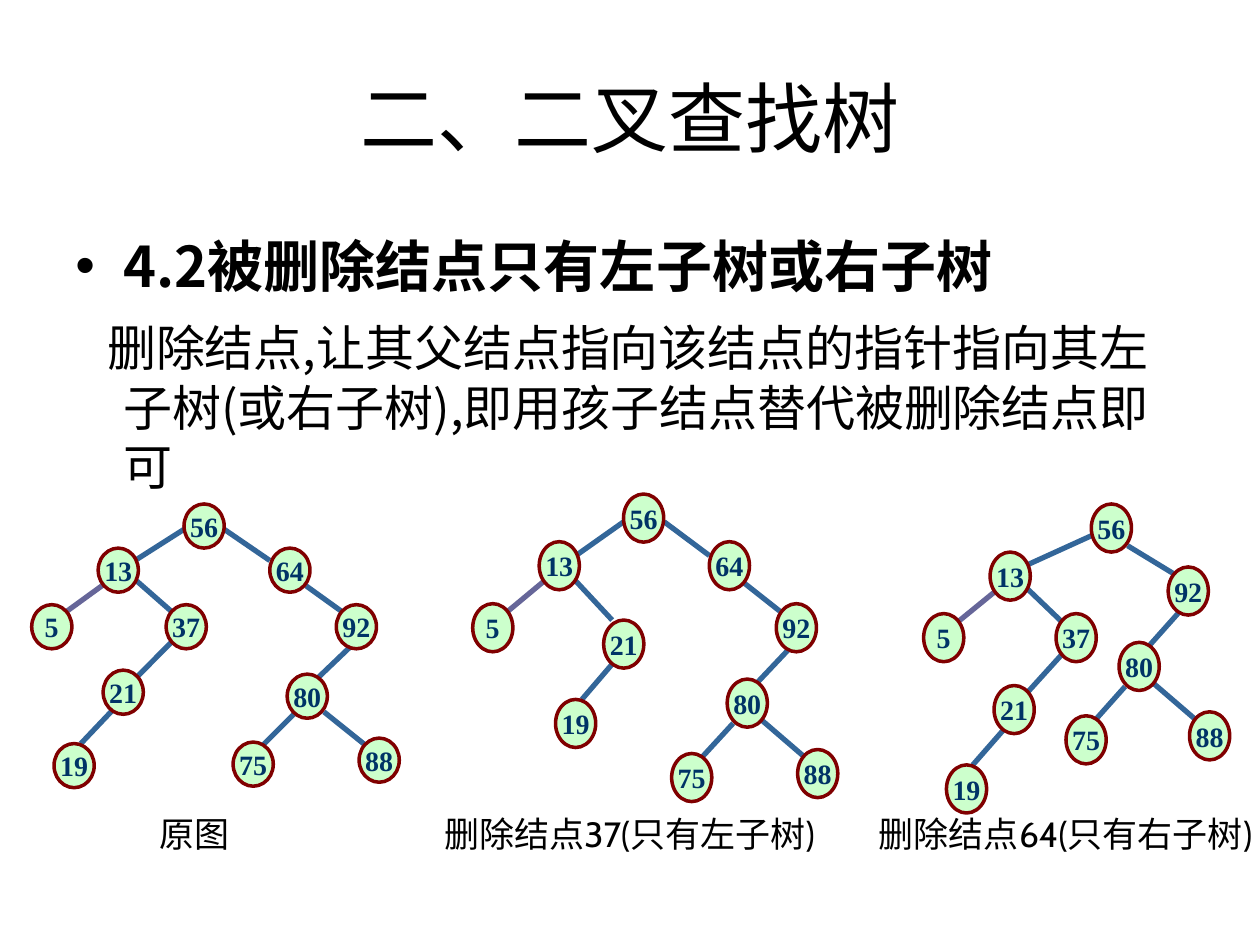
from lxml import etree
from pptx import Presentation
from pptx.dml.color import RGBColor
from pptx.enum import shapes, text
from pptx.oxml import ns
from pptx.util import Cm, Pt

BLACK = RGBColor(0x00, 0x00, 0x00)
NAVY = RGBColor(0x00, 0x33, 0x66)
BLUE = RGBColor(0x33, 0x66, 0x99)
PURPLE = RGBColor(0x66, 0x66, 0x99)
GREEN = RGBColor(0xCC, 0xFF, 0xCC)
MAROON = RGBColor(0x80, 0x00, 0x00)
CJK = "Noto Sans CJK SC"
NODE_WIDTH = 0.81


def write(para, words, size, font=CJK, asian=CJK, color=BLACK, bold=False,
          align=text.PP_ALIGN.LEFT, leading=None, before=0):
    """Add words to the paragraph; asian is the font for Chinese characters."""
    para.alignment = align
    para.space_before = Pt(before)
    if leading:
        para.line_spacing = Pt(leading)
    span = para.add_run()
    span.text = words
    span.font.size, span.font.bold, span.font.name = Pt(size), bold, font
    span.font.color.rgb = color
    etree.SubElement(span.font._element, ns.qn("a:ea"), typeface=asian)


def add_box(left, top, width, height):
    box = page.shapes.add_textbox(Cm(left), Cm(top), Cm(width), Cm(height))
    box.text_frame.word_wrap = True
    return box.text_frame


deck = Presentation()
deck.slide_width, deck.slide_height = Cm(25.4), Cm(19.05)
page = deck.slides.add_slide(deck.slide_layouts[6])

title = add_box(1.27, 0.76, 22.86, 3.18)
title.vertical_anchor = text.MSO_ANCHOR.MIDDLE
write(title.paragraphs[0], "二、二叉查找树", 44, font="Arial", align=text.PP_ALIGN.CENTER)

body = add_box(1.27, 4.45, 22.86, 12.57)
heading, rule = body.paragraphs[0], body.add_paragraph()
write(heading, "4.2被删除结点只有左子树或右子树", 32, bold=True, leading=41)
write(rule, "删除结点,让其父结点指向该结点的指针指向其左子树(或右子树),"
      "即用孩子结点替代被删除结点即可", 28, leading=34, before=10.5)
for para, indent in ((heading, -0.97), (rule, -0.33)):
    layout = para._p.get_or_add_pPr()
    layout.set("marL", str(Cm(0.97)))
    layout.set("indent", str(Cm(indent)))
bullet = heading._p.get_or_add_pPr()
etree.SubElement(bullet, ns.qn("a:buFont"), typeface="Arial")
etree.SubElement(bullet, ns.qn("a:buChar"), char="•")

# Each node: value, left, top, then the ends of the edge from its parent.
original_tree = [
    (56, 3.71, 10.16, None),
    (13, 1.98, 11.05, (3.71, 10.67, 2.72, 11.3)),
    (64, 5.44, 11.05, (4.52, 10.67, 5.44, 11.3)),
    (5, 0.64, 12.19, (2.08, 11.79, 1.35, 12.32)),
    (37, 3.35, 12.19, (2.72, 11.68, 3.45, 12.32)),
    (92, 6.78, 12.19, (6.17, 11.81, 6.88, 12.32)),
    (21, 2.08, 13.51, (3.45, 12.95, 2.57, 13.84)),
    (80, 5.79, 13.59, (7.04, 13.06, 6.35, 13.72)),
    (19, 1.09, 14.99, (2.36, 14.22, 1.63, 14.99)),
    (75, 4.7, 14.96, (5.92, 14.4, 5.23, 15.09)),
    (88, 7.24, 14.88, (6.53, 14.35, 7.39, 15.04)),
]
without_37 = [
    (56, 12.57, 9.96, None),
    (13, 10.87, 10.92, (12.57, 10.52, 11.61, 11.2)),
    (64, 14.3, 10.92, (13.39, 10.52, 14.3, 11.2)),
    (5, 9.53, 12.17, (10.95, 11.73, 10.24, 12.32)),
    (21, 12.17, 12.5, (11.53, 11.63, 12.34, 12.5)),
    (92, 15.65, 12.17, (15.01, 11.76, 15.72, 12.32)),
    (19, 11.2, 14.1, (12.45, 13.26, 11.73, 14.1)),
    (80, 14.66, 13.69, (15.88, 13.11, 15.19, 13.84)),
    (75, 13.54, 15.19, (14.78, 14.58, 14.1, 15.32)),
    (88, 16.08, 15.11, (15.37, 14.53, 16.23, 15.27)),
]
without_64 = [
    (56, 22, 10.16, None),
    (13, 19.96, 11.13, (22, 10.8, 20.68, 11.4)),
    (92, 23.55, 11.43, (22.73, 11, 23.65, 11.56)),
    (5, 18.62, 12.37, (20.04, 11.94, 19.33, 12.52)),
    (37, 21.29, 12.37, (20.68, 11.84, 21.39, 12.52)),
    (80, 22.56, 12.95, (23.77, 12.34, 23.11, 13.08)),
    (21, 20.04, 13.82, (21.39, 13.21, 20.52, 14.17)),
    (75, 21.49, 14.43, (22.68, 13.84, 22.02, 14.58)),
    (88, 23.98, 14.35, (23.27, 13.79, 24.13, 14.53)),
    (19, 19.08, 15.42, (20.32, 14.61, 19.61, 15.42)),
]

# Each tree: nodes, node height, caption, caption left, width and height.
trees = [
    (without_37, 0.97, "删除结点37(只有左子树)", 8.46, 8.46, 1.96),
    (without_64, 0.97, "删除结点64(只有右子树)", 17.35, 8.26, 1.96),
    (original_tree, 0.89, "原图", 0.84, 6.15, 1.12),
]
for nodes, node_height, caption, caption_left, caption_width, caption_height in trees:
    tree = page.shapes.add_group_shape()
    for value, left, top, ends in nodes:
        if ends is None:
            continue
        edge = tree.shapes.add_connector(
            shapes.MSO_CONNECTOR.STRAIGHT, *(Cm(end) for end in ends))
        edge.line.color.rgb = PURPLE if value == 5 else BLUE
        edge.line.width = Pt(3)
        etree.SubElement(edge._element.spPr, ns.qn("a:effectLst"))
    for value, left, top, ends in nodes:
        node = tree.shapes.add_shape(
            shapes.MSO_SHAPE.OVAL, Cm(left), Cm(top), Cm(NODE_WIDTH), Cm(node_height))
        node.shadow.inherit = False
        node.fill.solid()
        node.fill.fore_color.rgb = GREEN
        node.line.color.rgb = MAROON
        node.line.width = Pt(2)
        node.text_frame.word_wrap = False
        node.text_frame.vertical_anchor = text.MSO_ANCHOR.MIDDLE
        write(node.text_frame.paragraphs[0], str(value), 16, font="Times New Roman",
              color=NAVY, bold=True, align=text.PP_ALIGN.CENTER)
    label = add_box(caption_left, 16.26, caption_width, caption_height)
    write(label.paragraphs[0], caption, 20, font="Cabin", asian="Cabin",
          align=text.PP_ALIGN.CENTER)

deck.save("out.pptx")
